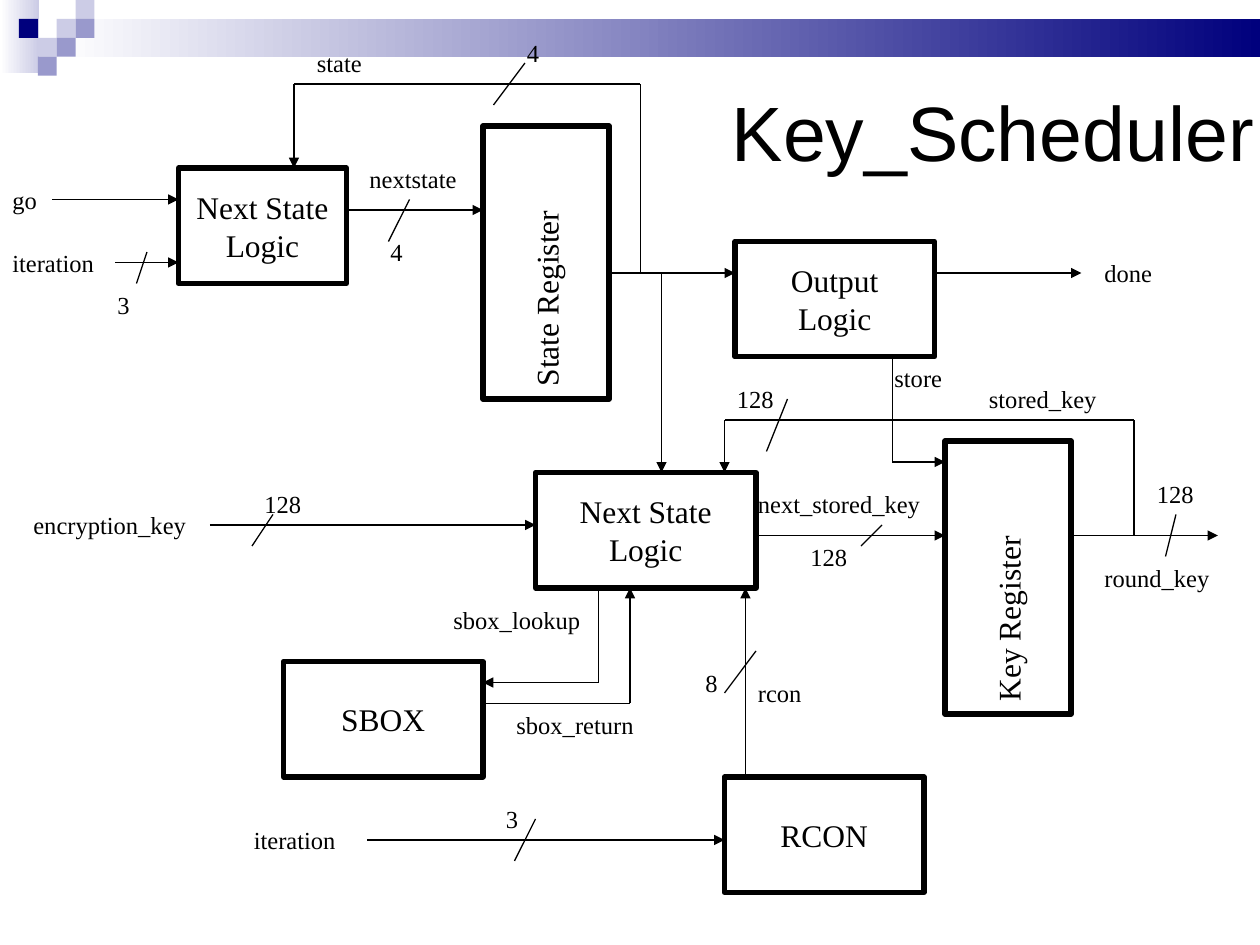
import pptx
import pptx.util
import pptx.dml.color
import pptx.enum.shapes
import pptx.enum.text
from lxml import etree
from itertools import pairwise
from pptx.oxml.ns import qn

COLOURS = {"ink": "000000", "paper": "FFFFFF", "navy": "00007D",
           "mid": "9999CC", "pale": "CCCCE6"}
CELLS_PER_INCH = 12   # diagram grid
TILE = 0.15           # side of a header tile, inches

# Header tiles: column, row, colour
TILES = [(3, 1, "pale"), (4, 0, "pale"), (4, 1, "mid"), (2, 2, "pale"),
         (1, 1, "navy"), (3, 2, "mid"), (2, 3, "mid")]

# Blocks: lines of text, column, row, columns wide, rows high
BLOCKS = [
    (["Next State", "Logic"], 17, 16, 16, 11),
    (["SBOX"], 27, 63, 19, 11),
    (["RCON"], 69, 74, 19, 11),
    (["Output", "Logic"], 70, 23, 19, 11),
    (["Next State", "Logic"], 51, 45, 21, 11),
]
REGISTERS = [
    (["State Register"], 46, 12, 12, 26),
    (["Key Register"], 90, 42, 12, 26),
]

# Signal routes on the grid, each ending in an arrowhead
SIGNALS = [
    [(5, 19), (17, 19)],
    [(11, 25), (17, 25)],
    [(33, 20), (46, 20)],
    [(58, 26), (70, 26)],
    [(61, 26), (61, 8), (28, 8), (28, 16)],
    [(63, 26), (63, 45)],
    [(20, 50), (51, 50)],
    [(46, 67), (60, 67), (60, 56)],
    [(57, 56), (57, 65), (46, 65)],
    [(35, 80), (69, 80)],
    [(71, 74), (71, 56)],
    [(72, 51), (90, 51)],
    [(85, 34), (85, 44), (90, 44)],
    [(102, 51), (108, 51), (108, 40), (69, 40), (69, 45)],
    [(108, 51), (116, 51)],
    [(89, 26), (103, 26)],
]

# Slashes that mark a bus
BUS_MARKS = [
    [(14, 24), (13, 27)], [(39, 19), (37, 23)], [(50, 6), (47, 10)],
    [(26, 49), (24, 52)], [(51, 78), (49, 82)], [(72, 62), (69, 66)],
    [(84, 50), (82, 52)], [(112, 49), (111, 53)], [(75, 38), (73, 43)],
]

# Labels: text, column, row, columns wide
LABELS = [
    ("go", 0, 17, 8), ("iteration", 0, 23, 12), ("3", 10, 27, 4),
    ("nextstate", 34, 15, 15), ("4", 36, 22, 4), ("4", 49, 3, 4),
    ("state", 29, 4, 15), ("encryption_key", 2, 48, 21), ("128", 24, 46, 8),
    ("sbox_return", 48, 67, 16), ("sbox_lookup", 42, 57, 16),
    ("iteration", 23, 78, 13), ("3", 47, 76, 4), ("8", 66, 63, 4),
    ("rcon", 71, 64, 9), ("next_stored_key", 71, 46, 20), ("128", 76, 51, 8),
    ("store", 84, 34, 9), ("128", 109, 45, 8), ("round_key", 104, 53, 16),
    ("128", 69, 36, 8), ("stored_key", 93, 36, 20), ("done", 104, 24, 9),
]
LABEL_ROWS = 4

# Text formats
TITLE_FONT = {"name": "Arial", "size": pptx.util.Pt(44)}
BLOCK_FONT = {"name": "Times New Roman", "size": pptx.util.Pt(18)}
LABEL_FONT = {"name": "Times New Roman", "size": pptx.util.Pt(14)}
CENTRED = {"alignment": pptx.enum.text.PP_ALIGN.CENTER}
LABEL_PARAGRAPH = {"space_before": pptx.util.Pt(8.8)}
TITLE_PARAGRAPH = {"line_spacing": 0.71}
MIDDLE = pptx.enum.text.MSO_ANCHOR.MIDDLE


def colour(name):
    return pptx.dml.color.RGBColor.from_string(COLOURS[name])


def grid(*cells):
    return [pptx.util.Inches(cell / CELLS_PER_INCH) for cell in cells]


def inches(*lengths):
    return [pptx.util.Inches(length) for length in lengths]


def set_all(target, values):
    for name, value in values.items():
        setattr(target, name, value)


def write(shape, lines, font, paragraph_format, frame_format):
    frame = shape.text_frame
    set_all(frame, frame_format)
    frame.text = "\n".join(lines)
    for paragraph in frame.paragraphs:
        set_all(paragraph, paragraph_format)
        set_all(paragraph.font, font)
        paragraph.font.color.rgb = colour("ink")


def add_rectangle(slide, place):
    shape = slide.shapes.add_shape(
        pptx.enum.shapes.MSO_SHAPE.RECTANGLE, *place)
    shape.shadow.inherit = False
    shape.line.fill.background()
    return shape


def add_fade(slide, place, strong):
    """Rectangle fading from white at the left to a colour at the right."""
    fill = add_rectangle(slide, place).fill
    fill.gradient()
    fill.gradient_angle = 180
    for stop, name in zip(fill.gradient_stops, (strong, "paper")):
        stop.color.rgb = colour(name)


def add_filled(slide, place, name):
    shape = add_rectangle(slide, place)
    shape.fill.solid()
    shape.fill.fore_color.rgb = colour(name)
    return shape


def add_block(slide, lines, *cells):
    shape = add_filled(slide, grid(*cells), "paper")
    shape.line.color.rgb = colour("ink")
    shape.line.width = pptx.util.Pt(3)
    write(shape, lines, BLOCK_FONT, CENTRED,
          {"word_wrap": False, "vertical_anchor": MIDDLE})
    return shape


def add_register(slide, lines, *cells):
    """Block whose text reads from bottom to top."""
    shape = add_block(slide, lines, *cells)
    shape.rotation = 180
    narrow, wide = inches(0.05, 0.1)
    set_all(shape.text_frame, {"margin_left": narrow, "margin_right": narrow,
                               "margin_top": wide, "margin_bottom": wide})
    shape.text_frame._txBody.bodyPr.set("vert", "eaVert")


def add_route(slide, points, arrow):
    for start, end in pairwise(points):
        connector = slide.shapes.add_connector(
            pptx.enum.shapes.MSO_CONNECTOR.STRAIGHT, *grid(*start, *end))
        connector.line.color.rgb = colour("ink")
        connector.line.width = pptx.util.Pt(0.75)
        if arrow and end == points[-1]:
            etree.SubElement(connector.line._get_or_add_ln(),
                             qn("a:tailEnd"), type="triangle")
        etree.SubElement(connector._element.spPr, qn("a:effectLst"))


def main():
    presentation = pptx.Presentation()
    presentation.slide_width, presentation.slide_height = inches(10, 7.5)
    slide = presentation.slides.add_slide(presentation.slide_layouts[6])

    # Header band and tiles
    add_fade(slide, inches(0, 0, 0.31, 0.58), "pale")
    add_fade(slide, inches(0.45, TILE, 9.55, 2 * TILE), "navy")
    for column, row, name in TILES:
        add_filled(slide, inches(column * TILE, row * TILE, TILE, TILE), name)

    # Title
    title = slide.shapes.add_textbox(*inches(5.71, 0.5, 9, 1.25))
    write(title, ["Key_Scheduler"], TITLE_FONT, TITLE_PARAGRAPH,
          {"word_wrap": True, "vertical_anchor": MIDDLE})

    # Blocks and registers
    for block in BLOCKS:
        add_block(slide, *block)
    for register in REGISTERS:
        add_register(slide, *register)

    # Signals, bus marks and labels
    for points in SIGNALS:
        add_route(slide, points, arrow=True)
    for points in BUS_MARKS:
        add_route(slide, points, arrow=False)
    for text, column, row, width in LABELS:
        label = slide.shapes.add_textbox(*grid(column, row, width, LABEL_ROWS))
        write(label, [text], LABEL_FONT, LABEL_PARAGRAPH, {"word_wrap": True})

    presentation.save("out.pptx")


if __name__ == "__main__":
    main()
